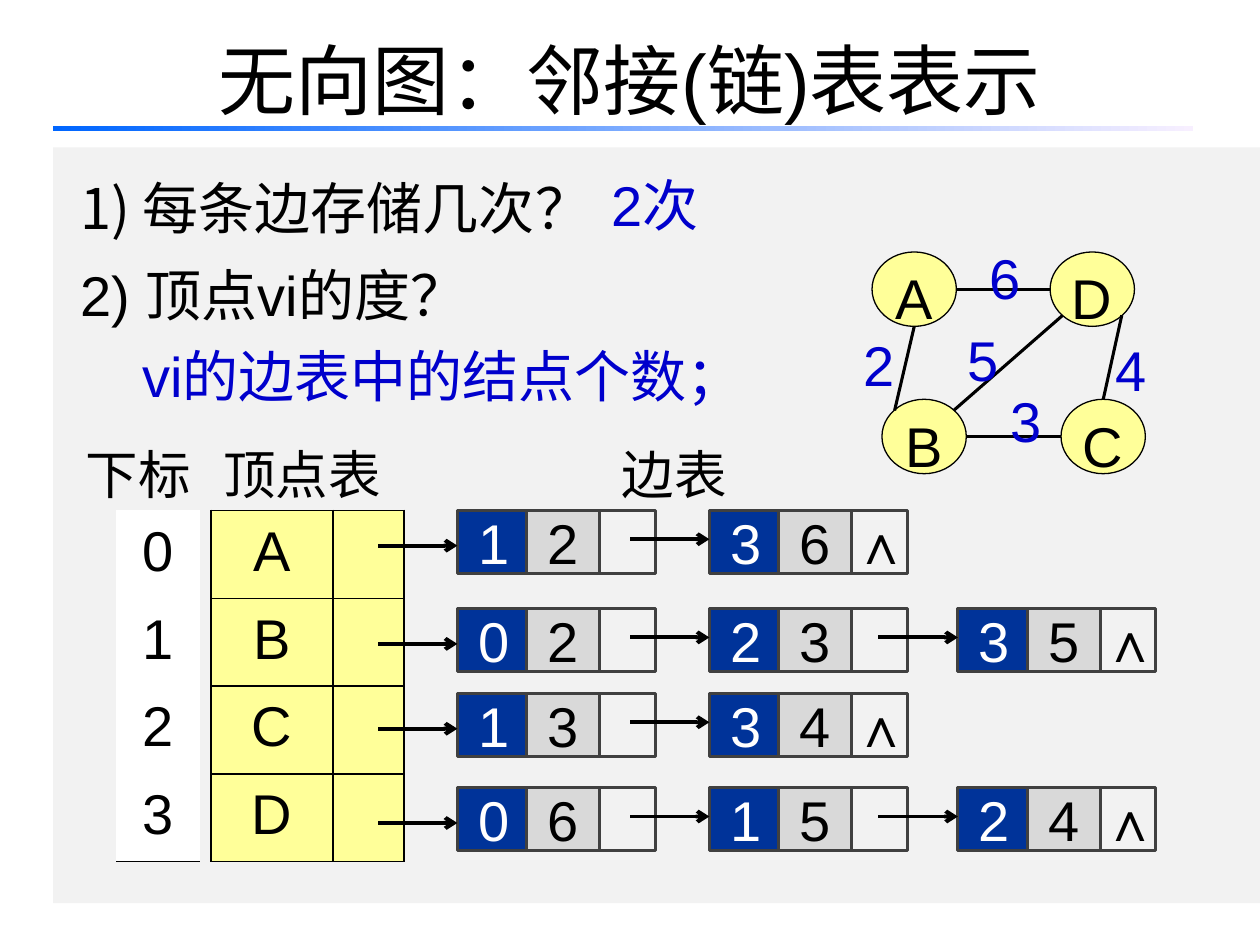
from lxml import etree
from pptx import Presentation
from pptx import util as u
from pptx.dml import color
from pptx.enum import shapes, text
from pptx.oxml import ns

COLORS = {
    "black": "000000", "white": "FFFFFF", "panel": "F2F2F2", "blue": "0000CC",
    "navy": "003399", "grey": "D9D9D9", "yellow": "FFFF99", "border": "404040",
    "bar_start": "0066FF", "bar_end": "F7EFFF",
}
CENTER = text.PP_ALIGN.CENTER
MIDDLE = text.MSO_ANCHOR.MIDDLE
RECTANGLE = shapes.MSO_SHAPE.RECTANGLE


def rgb(name):
    return color.RGBColor.from_string(COLORS[name])


def add_element(parent, tag, **attributes):
    return etree.SubElement(parent, ns.qn(tag), attributes)


def format_paragraph(paragraph, size=32, ink="black", spacing=None, align=None, bold=None):
    paragraph.alignment = align
    paragraph.line_spacing = spacing
    font = paragraph.font
    font.name, font.size, font.bold = "Arial", u.Pt(size), bold
    font.color.rgb = rgb(ink)


def add_box(slide, kind, left, top, width, height, fill=None, line=None, weight=1.75):
    shape = slide.shapes.add_shape(kind, u.Cm(left), u.Cm(top), u.Cm(width), u.Cm(height))
    shape.shadow.inherit = False
    if fill:
        shape.fill.solid()
        shape.fill.fore_color.rgb = rgb(fill)
    else:
        shape.fill.background()
    if line:
        shape.line.color.rgb = rgb(line)
        shape.line.width = u.Pt(weight)
    else:
        shape.line.fill.background()
    return shape


def write_centered(shape, content, **style):
    frame = shape.text_frame
    frame.word_wrap = False
    frame.vertical_anchor = MIDDLE
    frame.text = content
    format_paragraph(frame.paragraphs[0], align=CENTER, **style)


def add_label(slide, content, left, top, width, height, wrap=True, **style):
    frame = slide.shapes.add_textbox(u.Cm(left), u.Cm(top), u.Cm(width), u.Cm(height)).text_frame
    frame.word_wrap = wrap
    frame.text = content
    format_paragraph(frame.paragraphs[0], spacing=1.25, **style)


def add_line(slide, start, end, weight, arrow=False):
    points = [u.Cm(value) for value in (*start, *end)]
    connector = slide.shapes.add_connector(shapes.MSO_CONNECTOR.STRAIGHT, *points)
    connector.line.color.rgb = rgb("black")
    connector.line.width = u.Pt(weight)
    if arrow:
        add_element(connector.line._get_or_add_ln(), "a:tailEnd", type="arrow")
    add_element(connector._element.spPr, "a:effectLst")


def add_title(slide, left, top, width, height):
    title = slide.shapes.title
    title.left, title.top, title.width, title.height = map(u.Cm, (left, top, width, height))
    title.text_frame.text = "无向图：邻接(链)表表示"
    title.text_frame.vertical_anchor = MIDDLE
    format_paragraph(title.text_frame.paragraphs[0], size=44, align=CENTER)
    bar = add_box(slide, RECTANGLE, 1.07, 2.54, 22.99, 0.1)
    bar.fill.gradient()
    bar.fill.gradient_angle = 0
    for stop, name, position in zip(bar.fill.gradient_stops, ("bar_start", "bar_end"), (0, 1)):
        stop.color.rgb = rgb(name)
        stop.position = position


def add_questions(slide, left, top, width, height):
    frame = add_box(slide, RECTANGLE, left, top, width, height, "panel").text_frame
    frame.word_wrap = True
    frame.vertical_anchor = text.MSO_ANCHOR.TOP
    lines = [
        (" 每条边存储几次？", "black", 1.3, 0.3, text.PP_ALIGN.LEFT),
        ("2) 顶点vi的度？", "black", 1.3, 0.3, text.PP_ALIGN.JUSTIFY),
        ("vi的边表中的结点个数；", "blue", 1.2, 1.55, text.PP_ALIGN.JUSTIFY),
    ]
    for index, (content, ink, spacing, margin, align) in enumerate(lines):
        paragraph = frame.add_paragraph() if index else frame.paragraphs[0]
        paragraph.text = content
        properties = paragraph._p.get_or_add_pPr()
        properties.set("marL", str(u.Cm(margin)))
        properties.set("indent", "0")
        if index == 0:
            add_element(properties, "a:buFont", typeface="Arial")
            add_element(properties, "a:buAutoNum", type="arabicParenR")
        format_paragraph(paragraph, ink=ink, spacing=spacing, align=align)
    add_label(slide, "2次", left + 11, top, 2.59, 1.96, wrap=False, ink="blue")


def set_borders(cell, sides):
    properties = cell._tc.get_or_add_tcPr()
    for index, side in enumerate("LRTB"):
        line = etree.Element(ns.qn(f"a:ln{side}"), w=str(u.Pt(1)))
        if side in sides:
            fill = add_element(line, "a:solidFill")
            add_element(fill, "a:srgbClr", val=COLORS["black"])
        else:
            add_element(line, "a:noFill")
        properties.insert(index, line)


def add_column_table(slide, left, top, widths, row_height, values, fill, sides):
    table = slide.shapes.add_table(
        len(values), len(widths), u.Cm(left), u.Cm(top),
        u.Cm(sum(widths)), u.Cm(row_height * len(values))).table
    table.first_row = table.horz_banding = False
    for column, width in zip(table.columns, widths):
        column.width = u.Cm(width)
    for row, value in enumerate(values):
        table.rows[row].height = u.Cm(row_height)
        table.cell(row, 0).text = value
        for cell in table.rows[row].cells:
            cell.fill.solid()
            cell.fill.fore_color.rgb = rgb(fill)
            cell.vertical_anchor = MIDDLE
            set_borders(cell, sides)
            format_paragraph(cell.text_frame.paragraphs[0], spacing=0.9, align=CENTER)


def add_edge_node(slide, left, top, vertex, weight, is_last):
    height = 1.27
    link = add_box(slide, RECTANGLE, left + 2.67, top, 1.32, height, line="border")
    if is_last:
        link.text_frame.margin_left = u.Cm(0.55)
        write_centered(link, "∧", bold=True)
    for offset, value, fill, ink in ((0, vertex, "navy", "white"), (1.4, weight, "grey", "black")):
        cell = add_box(slide, RECTANGLE, left + offset, top, 1.47, height, fill, "border")
        write_centered(cell, value, ink=ink)


def add_adjacency_list(slide, left, top):
    for content, offset, width in (("下标", 0, 2.97), ("顶点表", 2.77, 4), ("边表", 10.8, 4.65)):
        add_label(slide, content, left + offset, top, width, 1.47, size=30)
    table_top = top + 1.83
    add_column_table(slide, left + 2.77, table_top, (2.46, 1.43), 1.77, "ABCD", "yellow", "LRTB")
    add_column_table(slide, left + 0.86, table_top, (1.7,), 1.77, "0123", "white", "B")
    rows = [
        (0, ("12", "36")),
        (1.98, ("02", "23", "35")),
        (3.69, ("13", "34")),
        (5.59, ("06", "15", "24")),
    ]
    for row_offset, nodes in rows:
        node_top = table_top + row_offset
        for index, (vertex, weight) in enumerate(nodes):
            node_left = left + (7.74, 12.82, 17.83)[index]
            add_edge_node(slide, node_left, node_top, vertex, weight, index == len(nodes) - 1)
            arrow_y = node_top + (0.58 if index else 0.71)
            add_line(slide, (node_left - 1.6, arrow_y), (node_left, arrow_y), 2.25, arrow=True)


def add_graph(slide, left, top):
    width, height = 1.7, 1.5
    vertices = {"A": (0.43, 0.63), "D": (4.02, 0.63), "B": (0.63, 3.6), "C": (4.24, 3.6)}
    near, far = 0.15, 0.85
    edges = [
        ("D", (0, 0.5), "A", (1, 0.5)), ("B", (near, near), "A", (0.5, 1)),
        ("C", (0, 0.5), "B", (1, 0.5)), ("D", (near, far), "B", (far, near)),
        ("D", (far, far), "C", (0.5, 0)),
    ]
    weights = {"6": (2.54, 0), "4": (5.08, 1.85), "5": (2.11, 1.65), "3": (2.97, 2.87), "2": (0, 1.75)}

    def point_on(name, fraction):
        x, y = vertices[name]
        return left + x + width * fraction[0], top + y + height * fraction[1]

    for name, (x, y) in vertices.items():
        vertex = add_box(slide, shapes.MSO_SHAPE.OVAL, left + x, top + y, width, height,
                         "yellow", "black", 0.75)
        write_centered(vertex, name, spacing=1.25)
    for start, start_side, end, end_side in edges:
        add_line(slide, point_on(start, start_side), point_on(end, end_side), 1.75)
    for weight, (x, y) in weights.items():
        add_label(slide, weight, left + x, top + y, 1.9, 1.8, ink="blue")


def main():
    presentation = Presentation()
    presentation.slide_width, presentation.slide_height = u.Cm(25.4), u.Cm(19.05)
    slide = presentation.slides.add_slide(presentation.slide_layouts[5])
    add_questions(slide, 1.07, 2.97, 24.33, 15.24)
    add_title(slide, 1.27, 0, 22.86, 3.18)
    add_adjacency_list(slide, 1.48, 8.46)
    add_graph(slide, 17.15, 4.45)
    presentation.save("out.pptx")


if __name__ == "__main__":
    main()
